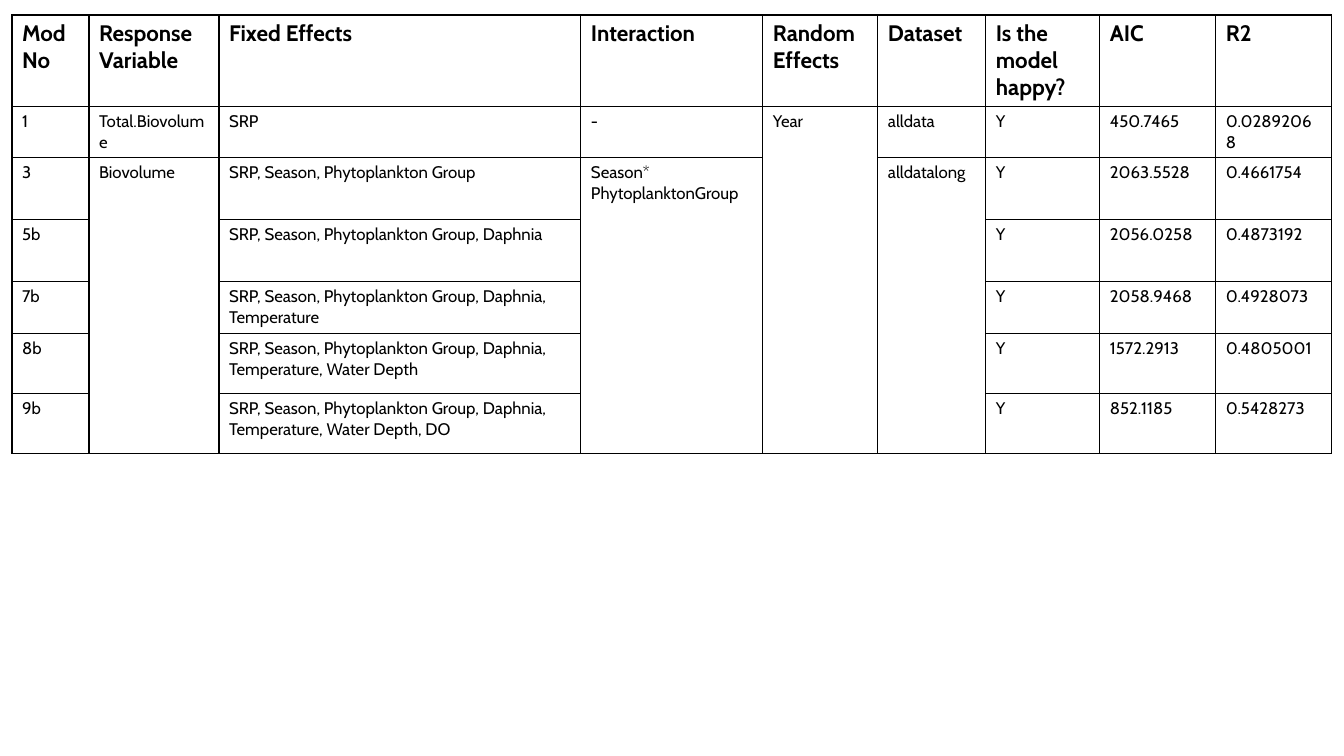
from lxml.etree import SubElement
from pptx import Presentation
from pptx.dml.color import RGBColor
from pptx.oxml.ns import qn
from pptx.util import Emu, Pt

BLACK = RGBColor(0x00, 0x00, 0x00)
WHITE = RGBColor(0xFF, 0xFF, 0xFF)

COLUMN_WIDTHS = [77, 130, 362, 182, 115, 108, 114, 116, 116]
ROW_HEIGHTS = [80, 46, 62, 62, 52, 60, 60]

HEADINGS = ["Mod\vNo", "Response Variable", "Fixed Effects", "Interaction",
            "Random Effects", "Dataset", "Is the model happy?", "AIC", "R2"]

# Each later model adds terms to the fixed effects of the one before
BASE = "SRP, Season, Phytoplankton Group"
DAPHNIA = BASE + ", Daphnia"
TEMPERATURE = DAPHNIA + ", Temperature"
DEPTH = TEMPERATURE + ", Water Depth"
OXYGEN = DEPTH + ", DO"

MODELS = [
    ["1", "Total.Biovolume", "SRP", "-", "Year", "alldata", "Y", "450.7465", "0.02892068"],
    ["3", "Biovolume", BASE, "Season*\nPhytoplanktonGroup", "", "alldatalong",
     "Y", "2063.5528", "0.4661754"],
    ["5b", "", DAPHNIA, "", "", "", "Y", "2056.0258", "0.4873192"],
    ["7b", "", TEMPERATURE, "", "", "", "Y", "2058.9468", "0.4928073"],
    ["8b", "", DEPTH, "", "", "", "Y", "1572.2913", "0.4805001"],
    ["9b", "", OXYGEN, "", "", "", "Y", "852.1185", "0.5428273"],
]

# First row of the merged cell in each shared column; all run to the last row
MERGED_FROM = {1: 2, 3: 2, 4: 1, 5: 2}


def px(length):
    return Emu(round(length * 914400 / 100.8))


class SlideBuilder:
    font = "Cabin"
    heading_size = Pt(16)
    body_size = Pt(12)
    border_width = Pt(1)

    def __init__(self, page):
        self.page = page

    def table(self, left, top, widths, heights, rows, merged_from):
        frame = self.page.shapes.add_table(
            len(heights), len(widths), px(left), px(top), px(sum(widths)), px(sum(heights)))
        table = frame.table
        table.horz_banding = False
        for column, width in zip(table.columns, widths):
            column.width = px(width)
        for row, height in zip(table.rows, heights):
            row.height = px(height)
        for row_index, texts in enumerate(rows):
            for column_index, text in enumerate(texts):
                self.cell(table.cell(row_index, column_index), text, row_index == 0)
        for column_index, first_row in merged_from.items():
            last_cell = table.cell(len(rows) - 1, column_index)
            table.cell(first_row, column_index).merge(last_cell)

    def cell(self, cell, text, heading):
        cell.text = text
        self.borders(cell)
        cell.fill.solid()
        cell.fill.fore_color.rgb = WHITE
        for para in cell.text_frame.paragraphs:
            para.font.size = self.heading_size if heading else self.body_size
            for span in para.runs:
                span.font.name = self.font
                span.font.size = para.font.size
                span.font.bold = heading
                span.font.color.rgb = BLACK

    def borders(self, cell):
        properties = cell._tc.get_or_add_tcPr()
        for side in ("lnL", "lnR", "lnT", "lnB"):
            line = SubElement(properties, qn("a:" + side), w=str(self.border_width))
            fill = SubElement(line, qn("a:solidFill"))
            SubElement(fill, qn("a:srgbClr"), val=str(BLACK))


def main():
    deck = Presentation()
    deck.slide_width, deck.slide_height = px(1344), px(756)
    page = deck.slides.add_slide(deck.slide_layouts[6])

    # Model comparison table
    builder = SlideBuilder(page)
    builder.table(12, 15, COLUMN_WIDTHS, ROW_HEIGHTS, [HEADINGS] + MODELS, MERGED_FROM)

    deck.save("out.pptx")


if __name__ == "__main__":
    main()
